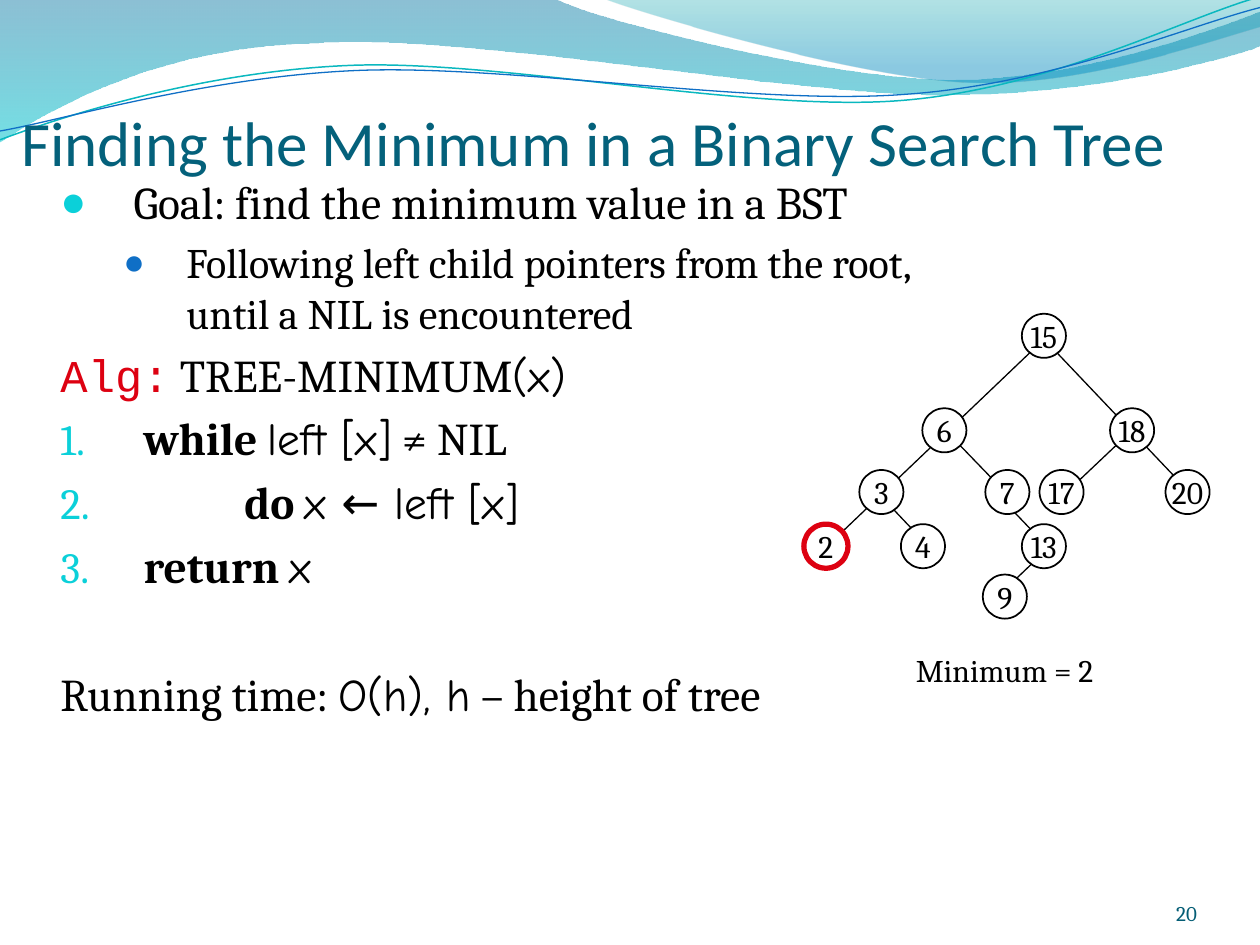
import pptx
import pptx.util
import pptx.dml.color
import pptx.enum.shapes
import pptx.enum.text
import pptx.oxml.ns
import lxml.etree

PX = 9144
HUES = {"black": "000000", "white": "FFFFFF", "red": "DD0111", "title": "04617B",
        "aqua": "0BD0D9", "blue": "0F6FC6", "teal": "0AB8BF", "page": "045D75",
        "deep": "0074A1", "cyan": "00C6CF", "sea": "00A1A9", "sky": "008BBF"}
SERIF, HAND, CODE = "Cambria", "Comic Neue", "Courier New"


def px(num):
    """Turn px into EMU."""
    return pptx.util.Emu(round(num * PX))


def hue(name):
    """Look up a colour by name."""
    return pptx.dml.color.RGBColor.from_string(HUES[name])


def add_tag(node, tag, **vals):
    """Append a drawing element with the given attributes."""
    kid = lxml.etree.SubElement(node, pptx.oxml.ns.qn("a:" + tag))
    for key, val in vals.items():
        kid.set(key, str(val))
    return kid


def style(font, size, face=SERIF, tint="black", bold=False):
    """Set size, face, colour and weight of a font."""
    font.size = pptx.util.Pt(size)
    font.name = face
    font.bold = bold
    font.color.rgb = hue(tint)


def add_path(slide, parts, closed):
    """Draw one outline of lines and cubic curves without a shadow."""
    first, *rest = [(px(part[-2]), px(part[-1])) for part in parts]
    pen = slide.shapes.build_freeform(*first, scale=1.0)
    pen.add_line_segments(rest, close=closed)
    shape = pen.convert_to_shape()
    shape.shadow.inherit = False
    legs = list(shape._element.spPr.iter(pptx.oxml.ns.qn("a:lnTo")))
    for leg, part in zip(legs, parts[1:]):
        if len(part) == 6:
            road = leg.getparent()
            curve = add_tag(road, "cubicBezTo")
            for x, y in zip(part[::2], part[1::2]):
                add_tag(curve, "pt", x=px(x) - shape.left, y=px(y) - shape.top)
            road.replace(leg, curve)
    return shape


def add_waves(slide):
    """Draw the bands and thin curves along the top."""
    bands = [
        ([(0, 0), (440, -1), (476, 17, 664, 63, 758, 63), (853, 63, 958, 26, 1000, 9),
          (1001, 36), (983, 44, 870, 76, 746, 75), (622, 75, 382, 28, 257, 34),
          (129, 36, 46, 83, -1, 113)], [(0, "deep", 45), (1, "cyan", 55)]),
        ([(479, -1), (509, 11, 682, 62, 769, 65), (856, 69, 961, 32, 1000, 21),
          (1000, 0)], [(0, "sea", 30), (0.8, "sky", 45)])]
    for parts, stops in bands:
        band = add_path(slide, parts, True)
        band.line.fill.background()
        band.fill.gradient()
        band.fill.gradient_angle = 270
        for stop, (spot, tint, alpha) in zip(band.fill.gradient_stops, stops):
            stop.position = spot
            stop.color.rgb = hue(tint)
        fills = list(band._element.spPr.iter(pptx.oxml.ns.qn("a:srgbClr")))
        for fill, (spot, tint, alpha) in zip(fills, stops):
            add_tag(fill, "alpha", val=alpha * 1000)
    curves = [
        ([(0, 111), (48, 93, 158, 57, 277, 52), (395, 47, 593, 89, 713, 80),
          (833, 71, 938, 15, 998, -2)], "teal", 0.85),
        ([(0, 104), (47, 96, 164, 61, 283, 56), (403, 51, 597, 84, 717, 75),
          (836, 67, 941, 21, 1000, 6)], "blue", 0.75)]
    for parts, tint, width in curves:
        curve = add_path(slide, parts, False)
        curve.fill.background()
        curve.line.color.rgb = hue(tint)
        curve.line.width = pptx.util.Pt(width)


def place(shape, box):
    """Move a shape to a box."""
    shape.left, shape.top, shape.width, shape.height = map(px, box)


def add_title(slide, box):
    """Fill and place the title."""
    title = slide.shapes.title
    place(title, box)
    frame = title.text_frame
    frame.text = "Finding the Minimum in a Binary Search Tree"
    frame.auto_size = pptx.enum.text.MSO_AUTO_SIZE.NONE
    frame.vertical_anchor = pptx.enum.text.MSO_ANCHOR.BOTTOM
    frame.margin_left = frame.margin_right = frame.margin_bottom = 0
    frame.paragraphs[0].alignment = pptx.enum.text.PP_ALIGN.LEFT
    style(frame.paragraphs[0].runs[0].font, 36, "Calibri", "title")
    slide.shapes._spTree.append(title._element)


def set_mark(para, kind, margin, hang):
    """Give a paragraph its indent and its bullet, number or neither."""
    props = para._p.get_or_add_pPr()
    props.set("marL", str(px(margin)))
    props.set("indent", str(px(-hang)))
    if kind == "none":
        add_tag(props, "buNone")
        return
    tint, size = ("blue", 85) if para.level else ("aqua", 95)
    add_tag(add_tag(props, "buClr"), "srgbClr", val=HUES[tint])
    add_tag(props, "buSzPct", val=size * 1000)
    if kind == "dot":
        add_tag(props, "buFont", typeface="Arial")
        add_tag(props, "buChar", char="●")
    else:
        add_tag(props, "buFont", typeface=SERIF)
        add_tag(props, "buAutoNum", type="arabicPeriod")


def add_body(slide, box):
    """Fill and place the list with its numbered steps."""
    body = slide.placeholders[1]
    place(body, box)
    frame = body.text_frame
    frame.auto_size = pptx.enum.text.MSO_AUTO_SIZE.NONE
    rows = [
        ("dot", 0, 58, 58, [("Goal: find the minimum value in a BST", {})]),
        ("dot", 1, 100, 50,
         [("Following left child pointers from the root, until a NIL is encountered", {})]),
        ("none", 0, 0, 0, [("Alg:", {"face": CODE, "tint": "red"}),
                           (" TREE-MINIMUM", {}), ("(x)", {"face": HAND})]),
        ("step", 0, 58, 58, [(" ", {}), ("while ", {"bold": True}),
                             ("left [x]", {"face": HAND}), (" ≠ NIL", {})]),
        ("step", 0, 138, 138, [(" ", {}), ("do ", {"bold": True}),
                               ("x ← left [x]", {"face": HAND})]),
        ("step", 0, 58, 58, [(" ", {}), ("return ", {"bold": True}), ("x", {"face": HAND})]),
        ("none", 0, 0, 0, [("Running time: ", {}), ("O(h), h", {"face": HAND}),
                           (" – height of tree", {})])]
    for i, (kind, level, margin, hang, runs) in enumerate(rows):
        para = frame.add_paragraph() if i else frame.paragraphs[0]
        para.level = level
        set_mark(para, kind, margin, hang)
        for words, look in runs:
            run = para.add_run()
            run.text = words
            style(run.font, 24 if level else 26, **look)
    frame.paragraphs[0].space_before = pptx.util.Pt(0)
    frame.paragraphs[-1].space_before = pptx.util.Pt(42)
    slide.shapes._spTree.append(body._element)


def add_tree(slide, left, top):
    """Draw the search tree with its lines behind its nodes."""
    group = slide.shapes.add_group_shape()
    lines = [(150, 228, 195, 185), (157, 147, 200, 192), (205, 145, 261, 92),
             (103, 189, 50, 133), (163, 145, 109, 89), (313, 149, 180, 9),
             (19, 184, 194, 17)]
    for x1, y1, x2, y2 in lines:
        line = group.shapes.add_connector(
            pptx.enum.shapes.MSO_CONNECTOR.STRAIGHT,
            px(left + x1), px(top + y1), px(left + x2), px(top + y2))
        line.line.color.rgb = hue("black")
        line.line.width = pptx.util.Pt(0.75)
        add_tag(line._element.spPr, "effectLst")
    nodes = {3: (44, 124), 2: (0, 167), 4: (77, 167), 6: (94, 75), 7: (144, 124),
             13: (173, 167), 15: (173, 0), 18: (243, 75), 17: (187, 124),
             20: (287, 124), 9: (142, 207)}
    for key, (x, y) in nodes.items():
        node = group.shapes.add_shape(pptx.enum.shapes.MSO_SHAPE.OVAL,
                                      px(left + x), px(top + y), px(35), px(35))
        node.shadow.inherit = False
        node.fill.solid()
        node.fill.fore_color.rgb = hue("white")
        least = key == min(nodes)
        node.line.color.rgb = hue("red" if least else "black")
        node.line.width = pptx.util.Pt(3 if least else 1)
        frame = node.text_frame
        frame.text = str(key)
        frame.word_wrap = False
        frame.vertical_anchor = pptx.enum.text.MSO_ANCHOR.MIDDLE
        frame.paragraphs[0].alignment = pptx.enum.text.PP_ALIGN.CENTER
        style(frame.paragraphs[0].runs[0].font, 18)


def add_note(slide, box, words, size, tint):
    """Add a text box of one line and return its frame."""
    frame = slide.shapes.add_textbox(*map(px, box)).text_frame
    frame.text = words
    style(frame.paragraphs[0].runs[0].font, size, tint=tint)
    return frame


def add_page(slide, box):
    """Add the page number."""
    frame = add_note(slide, box, "20", 12, "page")
    frame.word_wrap = True
    frame.margin_left = frame.margin_right = frame.margin_top = frame.margin_bottom = 0
    frame.vertical_anchor = pptx.enum.text.MSO_ANCHOR.BOTTOM
    frame.paragraphs[0].alignment = pptx.enum.text.PP_ALIGN.RIGHT


def main():
    """Build and save the slide."""
    deck = pptx.Presentation()
    deck.slide_width, deck.slide_height = px(1000), px(750)
    slide = deck.slides.add_slide(deck.slide_layouts[1])
    add_waves(slide)
    add_title(slide, (17, 59, 933, 83))
    add_body(slide, (38, 133, 762, 554))
    add_tree(slide, 638, 249)
    add_note(slide, (717, 512, 164, 70), "Minimum = 2", 18, "black")
    add_page(slide, (867, 695, 83, 40))
    deck.save("out.pptx")


if __name__ == "__main__":
    main()
